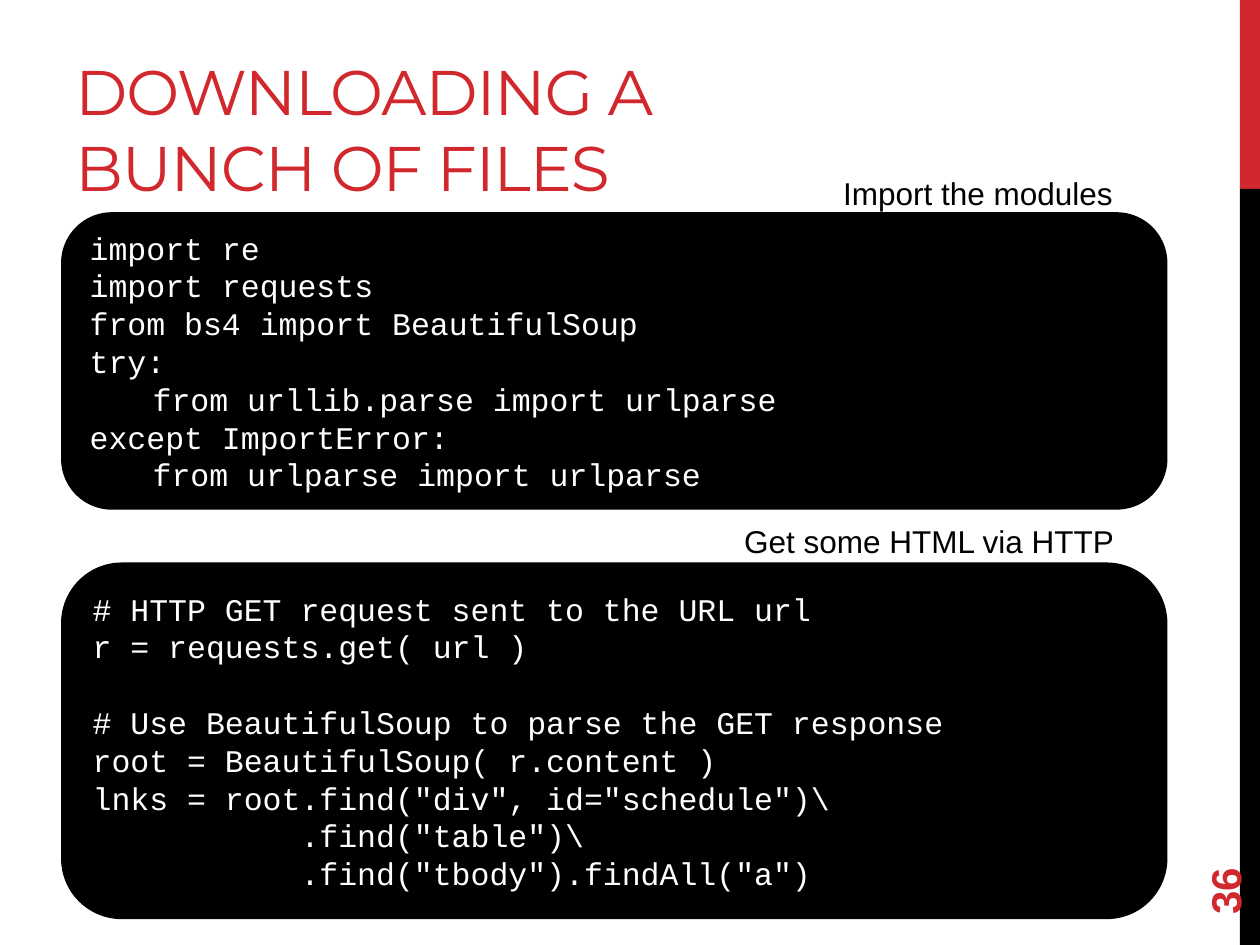
from dataclasses import dataclass

from lxml.etree import SubElement
from pptx import Presentation
from pptx.dml.color import RGBColor
from pptx.enum.shapes import MSO_SHAPE
from pptx.enum.text import MSO_ANCHOR, PP_ALIGN
from pptx.oxml.ns import qn
from pptx.util import Inches, Pt

RED = RGBColor(0xD1, 0x28, 0x2E)
BLACK = RGBColor(0, 0, 0)
WHITE = RGBColor(0xFF, 0xFF, 0xFF)
CODE_PITCH = Pt(21.6)


@dataclass
class Box:
    left: float
    top: float
    width: float
    height: float

    def lengths(self):
        return [Inches(v) for v in (self.left, self.top, self.width, self.height)]


@dataclass
class CodePanel:
    box: Box
    caption: str
    caption_box: Box
    blocks: list[str]  # groups of lines, set apart by one line of space


PANELS = [
    CodePanel(
        Box(0.5, 1.7, 8.75, 2.33),
        "Import the modules",
        Box(6.39, 1.33, 2.54, 0.4),
        ["""import re
import requests
from bs4 import BeautifulSoup
try:
\tfrom urllib.parse import urlparse
except ImportError:
\tfrom urlparse import urlparse"""],
    ),
    CodePanel(
        Box(0.5, 4.48, 8.75, 2.8),
        "Get some HTML via HTTP",
        Box(5.79, 4.09, 3.15, 0.4),
        ["""# HTTP GET request sent to the URL url
r = requests.get( url )""",
         r"""# Use BeautifulSoup to parse the GET response
root = BeautifulSoup( r.content )
lnks = root.find("div", id="schedule")\
           .find("table")\
           .find("tbody").findAll("a")"""],
    ),
]


def set_font(p, name: str, size: float, color: RGBColor, bold: bool = False) -> None:
    p.font.name = name
    p.font.size = Pt(size)
    p.font.color.rgb = color
    p.font.bold = bold


def add_filled(slide, kind, box: Box, color: RGBColor):
    sp = slide.shapes.add_shape(kind, *box.lengths())
    sp.shadow.inherit = False
    sp.fill.solid()
    sp.fill.fore_color.rgb = color
    sp.line.fill.background()
    return sp


def add_label(slide, box: Box, text: str, font: str, size: float, color: RGBColor,
              bold=False, align=PP_ALIGN.LEFT, anchor=MSO_ANCHOR.TOP):
    sp = slide.shapes.add_textbox(*box.lengths())
    tf = sp.text_frame
    tf.word_wrap = True
    tf.vertical_anchor = anchor
    p = tf.paragraphs[0]
    p.text = text
    p.alignment = align
    set_font(p, font, size, color, bold)
    return sp


def add_code_line(p, line: str) -> None:
    p.text = line
    p.alignment = PP_ALIGN.LEFT
    p.line_spacing = CODE_PITCH
    if line.startswith("\t"):
        tabs = SubElement(p._p.get_or_add_pPr(), qn("a:tabLst"))
        SubElement(tabs, qn("a:tab"), pos=str(Inches(0.5)), algn="l")
    set_font(p, "Courier New", 18, WHITE)


def add_panel(slide, panel: CodePanel) -> None:
    sp = add_filled(slide, MSO_SHAPE.ROUNDED_RECTANGLE, panel.box, BLACK)
    sp.line.color.rgb = BLACK
    sp.line.width = Pt(2.25)
    tf = sp.text_frame
    tf.word_wrap = True
    tf.vertical_anchor = MSO_ANCHOR.MIDDLE
    for b, block in enumerate(panel.blocks):
        for i, line in enumerate(block.split("\n")):
            p = tf.paragraphs[0] if b == i == 0 else tf.add_paragraph()
            if b and i == 0:
                p.space_before = CODE_PITCH
            add_code_line(p, line)
    add_label(slide, panel.caption_box, panel.caption, "Arial", 18, BLACK,
              align=PP_ALIGN.RIGHT)


def main() -> None:
    prs = Presentation()
    prs.slide_width, prs.slide_height = Inches(10), Inches(7.5)
    slide = prs.slides.add_slide(prs.slide_layouts[6])

    # Side stripe
    add_filled(slide, MSO_SHAPE.RECTANGLE, Box(9.84, 0, 0.16, 1.5), RED)
    add_filled(slide, MSO_SHAPE.RECTANGLE, Box(9.84, 1.5, 0.16, 6), BLACK)

    # Title, with slightly tightened letters
    title = add_label(slide, Box(0.5, 0.17, 6.33, 1.5), "DOWNLOADING A BUNCH OF FILES",
                      "Montserrat", 36, RED, anchor=MSO_ANCHOR.BOTTOM)
    r = title.text_frame.paragraphs[0].runs[0]
    r._r.get_or_add_rPr().set("spc", "-60")

    # Page number, reading upwards
    number = add_label(slide, Box(9, 6.44, 1.44, 0.4), "36", "Arial", 24, RED,
                       bold=True, anchor=MSO_ANCHOR.MIDDLE)
    number.rotation = 270

    # Code panels with captions
    for panel in PANELS:
        add_panel(slide, panel)

    prs.save("out.pptx")


if __name__ == "__main__":
    main()
